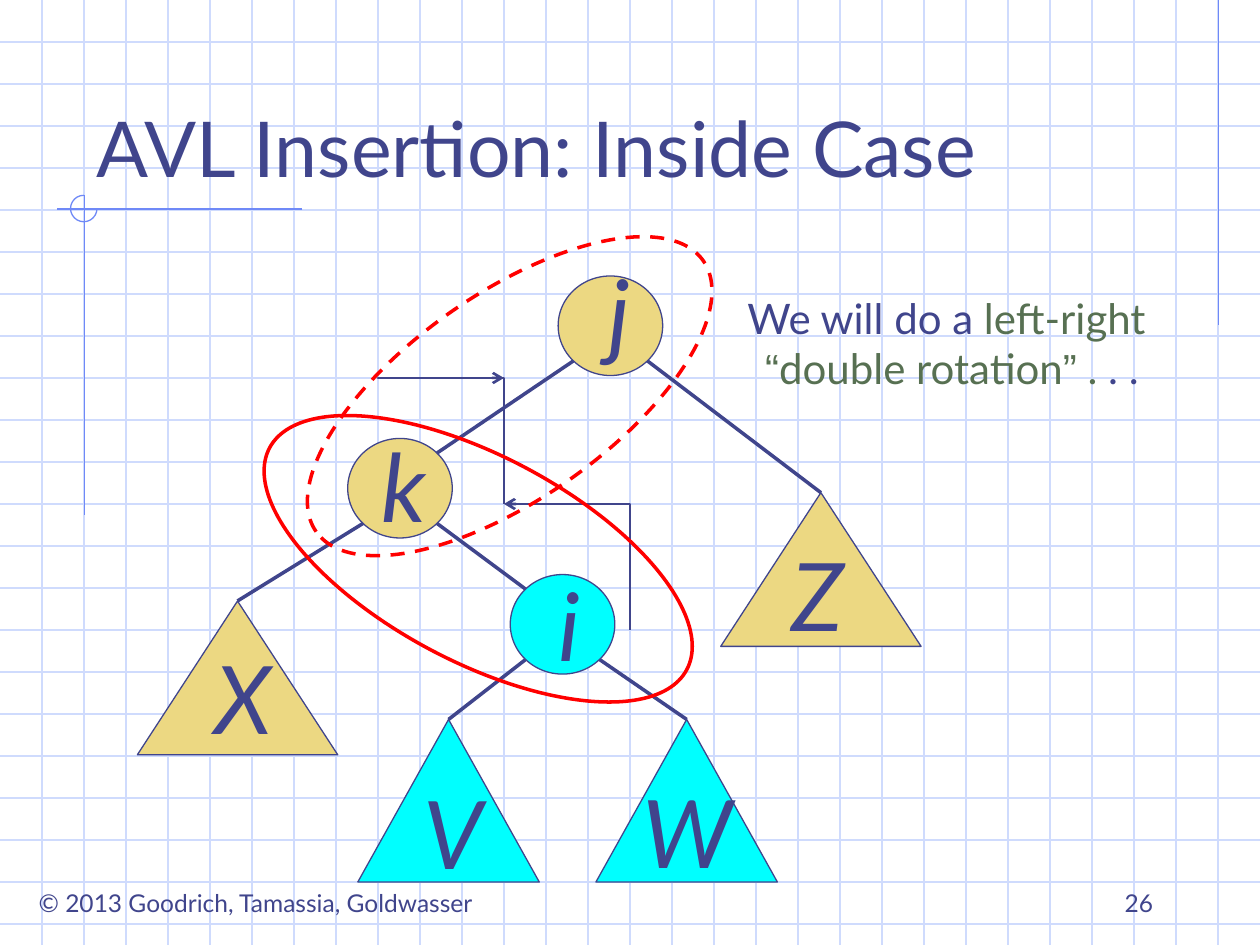
"""Build the slide on the inside case of AVL insertion: a tree with two rotations."""
from math import sqrt

from pptx import Presentation
from pptx.dml.color import RGBColor
from pptx.enum.dml import MSO_LINE
from pptx.enum.shapes import MSO_CONNECTOR, MSO_SHAPE
from pptx.enum.text import MSO_ANCHOR, PP_ALIGN
from pptx.oxml.ns import qn
from pptx.util import Inches, Pt
from lxml.etree import SubElement

INK = RGBColor(0x40, 0x45, 0x8C)
GREEN = RGBColor(0x57, 0x70, 0x52)
GRID = RGBColor(0xCF, 0xDB, 0xFD)
ACCENT = RGBColor(0x6F, 0x89, 0xF7)
SAND = RGBColor(0xEC, 0xD8, 0x82)
CYAN = RGBColor(0x00, 0xFF, 0xFF)
RED = RGBColor(0xFF, 0x00, 0x00)
FONT = "Lato"
WIDTH, HEIGHT = 10, 7.5
CELLS_PER_INCH = 3

ACCENT_LINES = [
    ((9.67, 0), (9.67, 2.58)),
    ((2.4, 1.66), (0.45, 1.66)),
    ((0.67, 1.55), (0.67, 4.09)),
]
NODE_SIZE = (0.83, 0.79)
OUTER_SIZE, INNER_SIZE = (1.59, 1.22), (1.44, 1.29)
LETTER_SIZE = (0.51, 1)
NODES = {
    "j": ((4.43, 2.19), SAND, (4.66, 1.97)),
    "k": ((2.76, 3.48), SAND, (2.93, 3.35)),
    "i": ((4.05, 4.56), CYAN, (4.26, 4.45)),
}
SUBTREES = {
    "X": ((1.09, 4.77), OUTER_SIZE, SAND, (1.6, 5.03)),
    "V": ((2.84, 5.71), INNER_SIZE, CYAN, (3.26, 6.1)),
    "Z": ((5.72, 3.91), OUTER_SIZE, SAND, (6.18, 4.21)),
    "W": ((4.73, 5.71), INNER_SIZE, CYAN, (5, 6.09)),
}
CHILDREN = {"j": "kZ", "k": "Xi", "i": "VW"}
ROTATION_ARROWS = [
    [(4.62, 4.52), (4.6, 4.21), (4.59, 3.9), (4.45, 3.75),
     (4.32, 3.6), (4.07, 3.61), (3.82, 3.61)],
    [(3.71, 3.59), (3.53, 3.29), (3.35, 3), (3.44, 2.85),
     (3.53, 2.69), (3.89, 2.69), (4.24, 2.69)],
]
RING_SIZE = (3.75, 1.63)
RINGS = [((1.92, 3.62), 28, MSO_LINE.SOLID), ((2.17, 2.33), 325, MSO_LINE.DASH)]
REMARK = [
    [("We will do a ", FONT, INK), ("left-right ", FONT, GREEN)],
    [("“", "Arial", GREEN), ("double rotation", FONT, GREEN), ("”", "Arial", GREEN),
     (" .", FONT, GREEN), (" . .", FONT, INK)],
]


def style_line(line, color, width):
    line.color.rgb = color
    line.width = Pt(width)


def add_line(slide, start, end, color, width=0.75):
    line = slide.shapes.add_connector(
        MSO_CONNECTOR.STRAIGHT, *(Inches(value) for value in (*start, *end)))
    style_line(line.line, color, width)
    SubElement(line._element.spPr, qn("a:effectLst"))
    return line


def add_outline(slide, kind, place, size, color, width=0.75, fill=None):
    shape = slide.shapes.add_shape(kind, *(Inches(value) for value in (*place, *size)))
    shape.shadow.inherit = False
    if fill is None:
        shape.fill.background()
    else:
        shape.fill.solid()
        shape.fill.fore_color.rgb = fill
    style_line(shape.line, color, width)
    return shape


def add_text(slide, place, size, paragraphs, points, align=PP_ALIGN.CENTER,
             anchor=MSO_ANCHOR.TOP, wrap=True, italic=False):
    box = slide.shapes.add_textbox(*(Inches(value) for value in (*place, *size)))
    frame = box.text_frame
    frame.word_wrap = wrap
    frame.vertical_anchor = anchor
    for index, runs in enumerate(paragraphs):
        paragraph = frame.add_paragraph() if index else frame.paragraphs[0]
        paragraph.alignment = align
        paragraph.font.size = Pt(points)
        paragraph.font.italic = italic
        for text, font, color in runs:
            run = paragraph.add_run()
            run.text = text
            run.font.name = font
            run.font.color.rgb = color


def curve_points(controls, steps=16):
    points = [controls[0]]
    for first in range(0, len(controls) - 1, 3):
        for step in range(1, steps + 1):
            t = step / steps
            weights = ((1 - t) ** 3, 3 * t * (1 - t) ** 2, 3 * t * t * (1 - t), t ** 3)
            segment = zip(*controls[first:first + 4])
            points.append(tuple(sum(w * v for w, v in zip(weights, axis))
                                for axis in segment))
    return points


def add_curved_arrow(slide, controls):
    start, *rest = curve_points(controls)
    builder = slide.shapes.build_freeform(*start, scale=Inches(1))
    builder.add_line_segments(rest, close=False)
    arrow = builder.convert_to_shape()
    arrow.shadow.inherit = False
    arrow.fill.background()
    style_line(arrow.line, INK, 1.5)
    SubElement(arrow.line._get_or_add_ln(), qn("a:tailEnd"), type="arrow")


def node_corner(name, across, down):
    """Return the point on a node's rim in the diagonal direction given by two signs."""
    place = NODES[name][0]
    return tuple(start + length / 2 * (1 + sign / sqrt(2))
                 for start, length, sign in zip(place, NODE_SIZE, (across, down)))


def add_background(slide):
    for row in range(1, int(HEIGHT * CELLS_PER_INCH) + 1):
        y = row / CELLS_PER_INCH
        add_line(slide, (0, y), (WIDTH, y), GRID)
    for column in range(1, WIDTH * CELLS_PER_INCH):
        x = column / CELLS_PER_INCH
        add_line(slide, (x, 0), (x, HEIGHT), GRID)
    for start, end in ACCENT_LINES:
        add_line(slide, start, end, ACCENT)
    ring = add_outline(slide, MSO_SHAPE.ARC, (0.56, 1.55), (0.21, 0.21), ACCENT)
    ring.adjustments[0] = 0
    ring.adjustments[1] = 270 * 0.6


def add_tree(slide):
    triangles, letters = {}, {}
    for name, (place, fill, letter_place) in NODES.items():
        add_outline(slide, MSO_SHAPE.OVAL, place, NODE_SIZE, INK, fill=fill)
        letters[name] = letter_place
    for name, (place, size, fill, letter_place) in SUBTREES.items():
        triangles[name] = add_outline(
            slide, MSO_SHAPE.ISOSCELES_TRIANGLE, place, size, INK, fill=fill)
        letters[name] = letter_place
    for parent, children in CHILDREN.items():
        for side, child in zip((-1, 1), children):
            start = node_corner(parent, side, 1)
            if child in NODES:
                add_line(slide, start, node_corner(child, -side, -1), INK, 2)
            else:
                edge = add_line(slide, start, start, INK, 2)
                edge.end_connect(triangles[child], 0)
    for name, place in letters.items():
        add_text(slide, place, LETTER_SIZE, [[(name, FONT, INK)]], 54, italic=True)


def main():
    presentation = Presentation()
    presentation.slide_width, presentation.slide_height = Inches(WIDTH), Inches(HEIGHT)
    slide = presentation.slides.add_slide(presentation.slide_layouts[6])
    add_background(slide)
    add_text(slide, (0.09, 7), (3.88, 0.34),
             [[("© 2013 Goodrich, Tamassia, Goldwasser", FONT, INK)]], 14, wrap=False)
    add_text(slide, (0.67, 0.33), (8.5, 1.25), [[("AVL Insertion: Inside Case", FONT, INK)]],
             44, PP_ALIGN.LEFT, MSO_ANCHOR.BOTTOM)
    add_text(slide, (7.17, 6.83), (2.08, 0.5), [[("26", FONT, INK)]],
             14, PP_ALIGN.RIGHT, MSO_ANCHOR.BOTTOM)
    add_tree(slide)
    add_text(slide, (5.75, 2.27), (3.61, 0.9), REMARK, 24, wrap=False)
    for controls in ROTATION_ARROWS:
        add_curved_arrow(slide, controls)
    for place, angle, dash in RINGS:
        ring = add_outline(slide, MSO_SHAPE.OVAL, place, RING_SIZE, RED, 2)
        ring.rotation = angle
        ring.line.dash_style = dash
    presentation.save("out.pptx")


if __name__ == "__main__":
    main()
